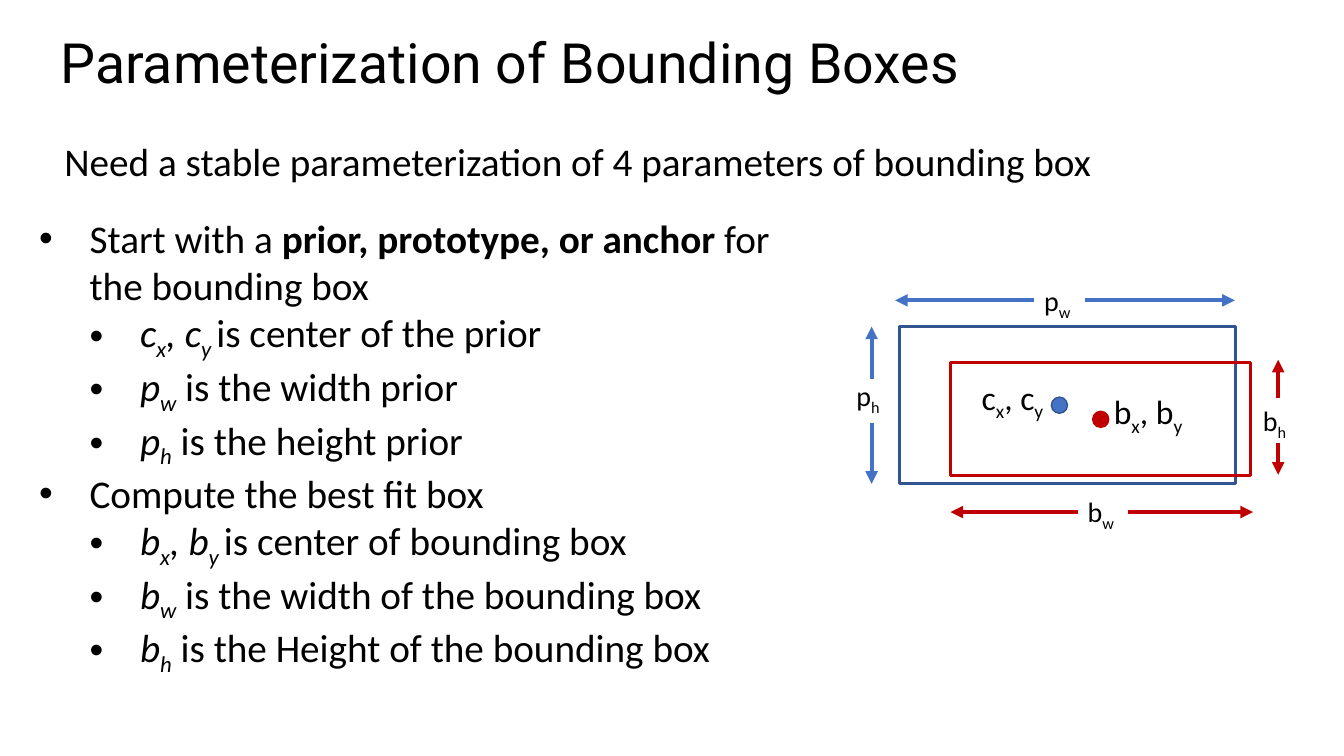
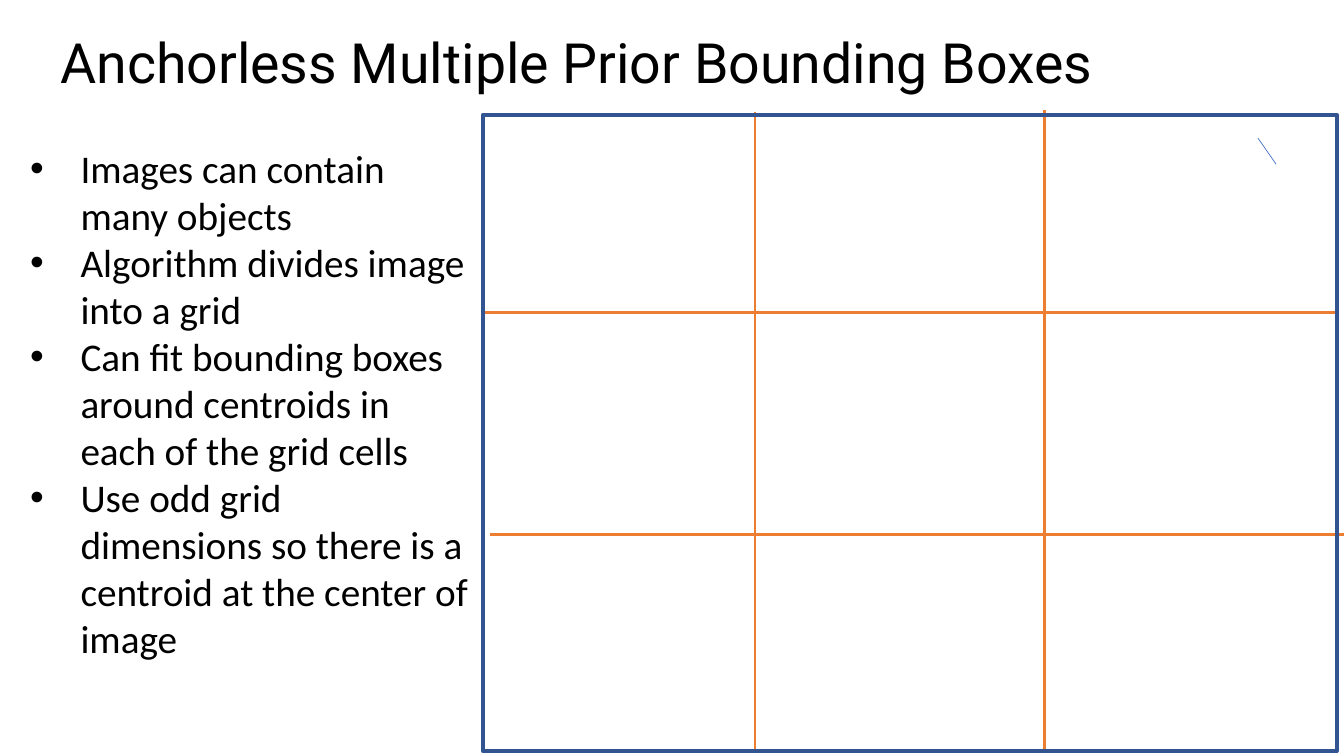
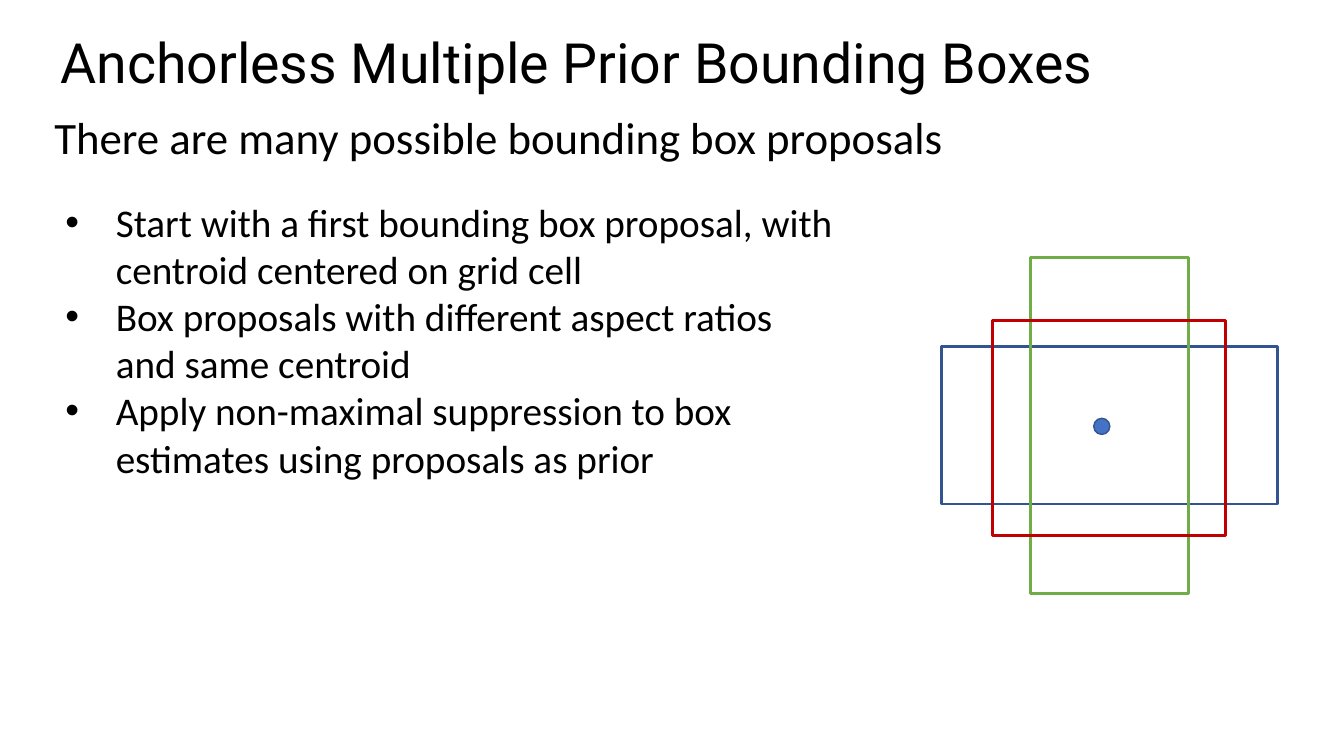
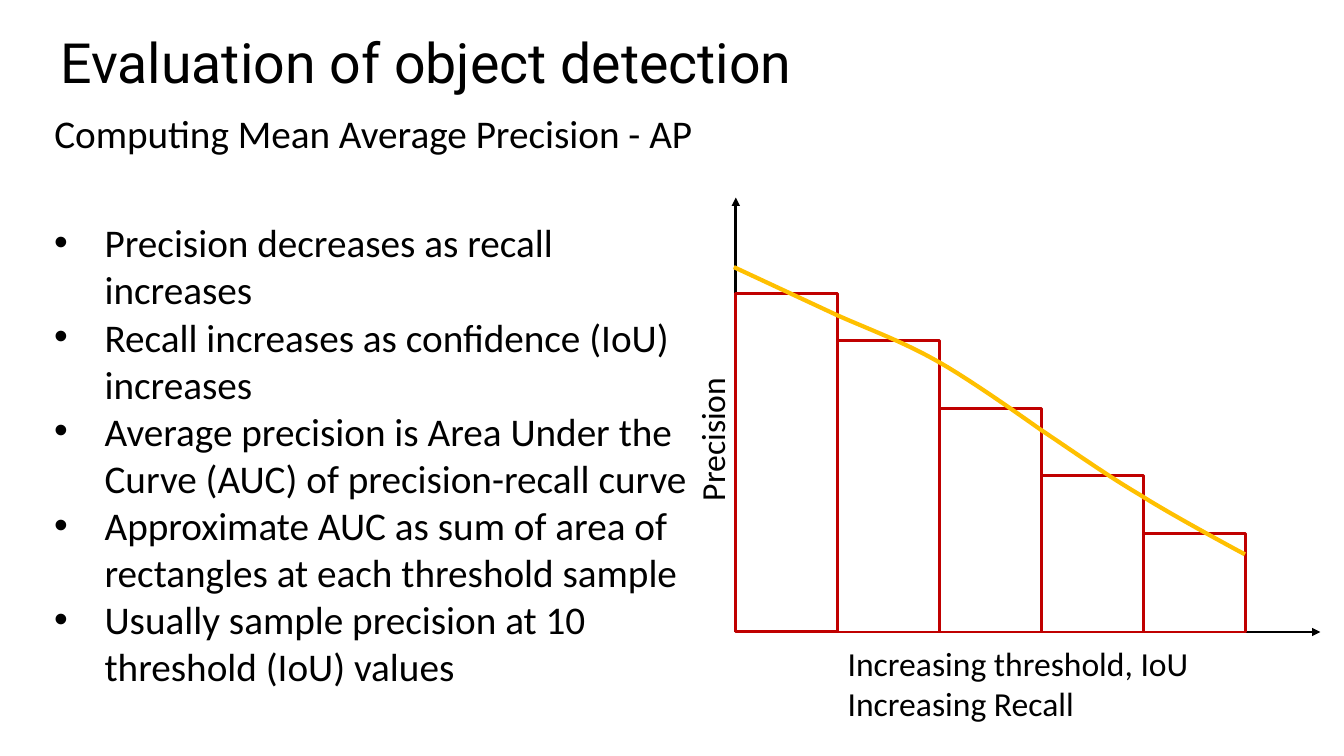
"""Build four slides on bounding boxes and the scoring of object detection."""
from lxml.etree import SubElement
from pptx import Presentation
from pptx.dml.color import RGBColor
from pptx.enum.shapes import MSO_CONNECTOR, MSO_SHAPE
from pptx.enum.text import MSO_ANCHOR, PP_ALIGN
from pptx.oxml.ns import qn
from pptx.util import Inches, Pt

WIDE, HIGH = Inches(13.33), Inches(7.5)
HUES = {"ink": "000000", "navy": "325491", "blue": "4472C4", "red": "C00000",
        "green": "70AD47", "orange": "ED7D31", "gold": "FFC000"}
FONT, HEAD = "Calibri", "Roboto"
BODY, DOT, STEP = 28, 0.16, 3.75
TAG = (3.75, 5.87)


def across(share):
    """Turn a percentage of the slide's width into a length."""
    return round(WIDE * share / 100)


def down(share):
    """Turn a percentage of the slide's height into a length."""
    return round(HIGH * share / 100)


def place(box):
    """Turn left, top, width and height in percent into lengths."""
    left, top, width, height = box
    return across(left), down(top), across(width), down(height)


def paint(hue):
    """Look up a colour by name."""
    return RGBColor.from_string(HUES[hue])


def add_run(para, text, size, style="", face=FONT):
    """Add one run; style letters are b bold, i italic, s subscript."""
    run = para.add_run()
    run.text = text
    font = run.font
    font.name, font.size = face, Pt(size)
    font.color.rgb = paint("ink")
    font.bold, font.italic = "b" in style, "i" in style
    if "s" in style:
        run._r.get_or_add_rPr().set("baseline", "-25000")


def add_title(deck, text):
    """Add a slide with its title."""
    slide = deck.slides.add_slide(deck.slide_layouts[5])
    title = slide.shapes.title
    title.left, title.top, title.width, title.height = place((3.75, 4.8, 94.5, 8.4))
    title.text_frame.vertical_anchor = MSO_ANCHOR.MIDDLE
    para = title.text_frame.paragraphs[0]
    para.alignment, para.line_spacing = PP_ALIGN.LEFT, 0.8
    add_run(para, text, 39.6, face=HEAD)
    return slide


def set_dot(para, level):
    """Give a paragraph a bullet and a hanging indent."""
    para.level = level
    props = para._p.get_or_add_pPr()
    props.set("marL", str(across(STEP * (level + 1))))
    props.set("indent", str(-across(STEP)))
    SubElement(props, qn("a:buFont"), typeface="Arial")
    SubElement(props, qn("a:buChar"), char="•")


def add_text(slide, box, rows, size=BODY, dots=False, wrap=True):
    """Add a text box; a row is a string or a level with its runs."""
    shape = slide.shapes.add_textbox(*place(box))
    frame = shape.text_frame
    frame.word_wrap = wrap
    for num, row in enumerate(rows):
        level, runs = (0, [(row, "")]) if isinstance(row, str) else row
        para = frame.add_paragraph() if num else frame.paragraphs[0]
        if dots:
            set_dot(para, level)
        for text, style in runs:
            add_run(para, text, size, style)
    return shape


def add_frame(slide, box, hue, width=2):
    """Add a hollow rectangle."""
    shape = slide.shapes.add_shape(MSO_SHAPE.RECTANGLE, *place(box))
    shape.shadow.inherit = False
    shape.fill.background()
    shape.line.color.rgb, shape.line.width = paint(hue), Pt(width)
    return shape


def add_dot(slide, mid_x, mid_y, fill, edge):
    """Add a small disc around its centre."""
    size = Inches(DOT)
    shape = slide.shapes.add_shape(MSO_SHAPE.OVAL, across(mid_x) - size // 2,
                                   down(mid_y) - size // 2, size, size)
    shape.shadow.inherit = False
    shape.fill.solid()
    shape.fill.fore_color.rgb = paint(fill)
    shape.line.color.rgb, shape.line.width = paint(edge), Pt(1)


def add_line(slide, start, end, hue, width=2, arrow=False):
    """Add a straight line, with an arrowhead at its end if asked."""
    line = slide.shapes.add_connector(
        MSO_CONNECTOR.STRAIGHT, across(start[0]), down(start[1]),
        across(end[0]), down(end[1]))
    line.line.color.rgb, line.line.width = paint(hue), Pt(width)
    if arrow:
        SubElement(line.line._get_or_add_ln(), qn("a:tailEnd"), type="triangle")
    SubElement(line._element.spPr, qn("a:effectLst"))


def add_span(slide, name, axis, spot, ends, hue, dip=0):
    """Add a size label with an arrow out to each end of its side."""
    left, top = spot
    add_text(slide, (left, top, *TAG), [(0, [(name, ""), (axis, "s")])], 20)
    for side, end in enumerate(ends):
        if axis == "w":
            level = top + TAG[1] / 2
            start, stop = (left + side * TAG[0], level), (end, level)
        else:
            level = left + TAG[0] / 2
            start, stop = (level, top + dip + side * TAG[1]), (level, end)
        add_line(slide, start, stop, hue, 3, True)


def pair(name, style=""):
    """Make the runs of an x and y pair with subscripts."""
    return [(name, style), ("x", style + "s"), (f", {name}", style), ("y", style + "s")]


def centre(name, rest):
    """Make a second-level row on a centre point."""
    return 1, pair(name, "i") + [(" ", "is"), (rest, "")]


def extent(name, axis, rest):
    """Make a second-level row on a width or height."""
    return 1, [(name, "i"), (axis, "is"), (f" {rest}", "")]


def bend(points, parts=12):
    """List points along a chain of cubic curves."""
    out = []
    for num in range(0, len(points) - 1, 3):
        for part in range(1, parts + 1):
            t = part / parts
            rates = ((1 - t) ** 3, 3 * t * (1 - t) ** 2, 3 * t * t * (1 - t), t ** 3)
            out.append(tuple(sum(r * p[i] for r, p in zip(rates, points[num:num + 4]))
                             for i in (0, 1)))
    return out


def add_curve(slide, first, points, hue):
    """Add an open curve: one straight part, then cubic parts."""
    path = [(across(x), down(y)) for x, y in [first, points[0]] + bend(points)]
    pen = slide.shapes.build_freeform(*path[0])
    pen.add_line_segments(path[1:], close=False)
    shape = pen.convert_to_shape()
    shape.shadow.inherit = False
    shape.fill.background()
    shape.line.color.rgb, shape.line.width = paint(hue), Pt(3)


def show_prior(deck):
    """Build the slide on box parameters."""
    slide = add_title(deck, "Parameterization of Bounding Boxes")
    add_text(slide, (4.05, 17.47, 90.7, 7.6),
             ["Need a stable parameterization of 4 parameters of bounding box"])
    add_text(slide, (2.18, 27.73, 56.93, 70.4), [
        (0, [("Start with a ", ""), ("prior, prototype, or anchor ", "b"),
             ("for the bounding box", "")]),
        centre("c", "is center of the prior"),
        extent("p", "w", "is the width prior"),
        extent("p", "h", "is the height prior"),
        "Compute the best fit box",
        centre("b", "is center of bounding box"),
        extent("b", "w", "is the width of the bounding box"),
        extent("b", "h", "is the Height of the bounding box")], dots=True)
    add_frame(slide, (66.9, 43.2, 25, 20.8), "navy")
    add_dot(slide, 78.83, 53.6, "blue", "navy")
    add_text(slide, (72.3, 49.2, 6.53, 6.67), [(0, pair("c"))], 24)
    add_frame(slide, (70.72, 48, 22.35, 14.93), "red")
    add_dot(slide, 81.9, 55.47, "red", "red")
    add_text(slide, (82.13, 51.07, 6.83, 6.67), [(0, pair("b"))], 24)
    add_span(slide, "p", "w", (76.95, 36.8), (66.6, 91.88), "blue")
    add_span(slide, "p", "h", (62.98, 49.47), (43.2, 64), "blue", 0.66)
    add_span(slide, "b", "w", (80.18, 64.8), (70.72, 93.23), "red")
    add_span(slide, "b", "h", (93.23, 52.67), (47.6, 62.8), "red")


def show_grid(deck):
    """Build the slide on the image grid."""
    slide = add_title(deck, "Anchorless Multiple Prior Bounding Boxes")
    add_line(slide, (93.6, 18.27), (94.95, 21.73), "blue", 0.5)
    for start, end in [((35.93, 41.33), (99.53, 41.33)), ((36.45, 70.67), (100, 70.67)),
                       ((56.18, 99.33), (56.18, 14.8)), ((77.7, 99.07), (77.7, 14.53))]:
        add_line(slide, start, end, "orange")
    add_text(slide, (1.5, 18.4, 34.05, 70.4), [
        "Images can contain many objects",
        "Algorithm divides image into a grid",
        "Can fit bounding boxes around centroids in each of the grid cells",
        "Use odd grid dimensions so there is a centroid at the center of image"],
        dots=True)
    add_frame(slide, (35.93, 15.2, 63.53, 84.13), "navy", 3)


def show_boxes(deck):
    """Build the slide on box proposals."""
    slide = add_title(deck, "Anchorless Multiple Prior Bounding Boxes")
    add_text(slide, (3.3, 13.87, 90.7, 8.53),
             ["There are many possible bounding box proposals"], 32)
    add_text(slide, (4.13, 25.6, 58.58, 39.07), [
        "Start with a first bounding box proposal, with centroid centered on grid cell",
        "Box proposals with different aspect ratios and same centroid",
        "Apply non-maximal suppression to box estimates using proposals as prior"],
        dots=True)
    flat = (70.05, 45.87, 25, 20.8)
    add_frame(slide, flat, "navy")
    add_dot(slide, 81.98, 56.4, "blue", "navy")
    add_frame(slide, flat, "green").rotation = 90
    add_frame(slide, (73.88, 42.4, 17.33, 28.4), "red")


def show_score(deck):
    """Build the slide on average precision."""
    slide = add_title(deck, "Evaluation of object detection")
    add_text(slide, (3.3, 13.87, 90.7, 7.6), ["Computing Mean Average Precision - AP"])
    left, base, width = 54.75, 83.6, 7.58
    for end in [(left, 26.13), (98.25, base)]:
        add_line(slide, (left, base), end, "ink", arrow=True)
    for num, top in enumerate((38.8, 45.07, 54, 62.93, 70.53)):
        add_frame(slide, (left + num * width, top, width, base - top), "red")
    add_curve(slide, (54.6, 35.33), [
        (62.33, 41.73), (64.88, 43.73), (67.35, 45.33), (69.83, 47.87),
        (72.38, 50.4), (77.4, 56.8), (77.4, 56.8),
        (79.88, 59.73), (82.28, 62.8), (84.83, 65.47),
        (87.3, 68.27), (92.63, 73.33), (92.63, 73.33)], "gold")
    add_text(slide, (3.3, 28.27, 48.68, 64.13), [
        "Precision decreases as recall increases",
        "Recall increases as confidence (IoU) increases",
        "Average precision is Area Under the Curve (AUC) of precision-recall curve",
        "Approximate AUC as sum of area of rectangles at each threshold sample",
        "Usually sample precision at 10 threshold (IoU) values"], dots=True)
    add_text(slide, (62.33, 84.4, 27.08, 12.13),
             ["Increasing threshold, IoU", "Increasing Recall"], 24, wrap=False)
    add_text(slide, (47.55, 54.67, 10.8, 6.67), ["Precision"], 24,
             wrap=False).rotation = 270


def main():
    """Build and save the deck."""
    deck = Presentation()
    deck.slide_width, deck.slide_height = WIDE, HIGH
    for show in (show_prior, show_grid, show_boxes, show_score):
        show(deck)
    deck.save("out.pptx")


if __name__ == "__main__":
    main()
